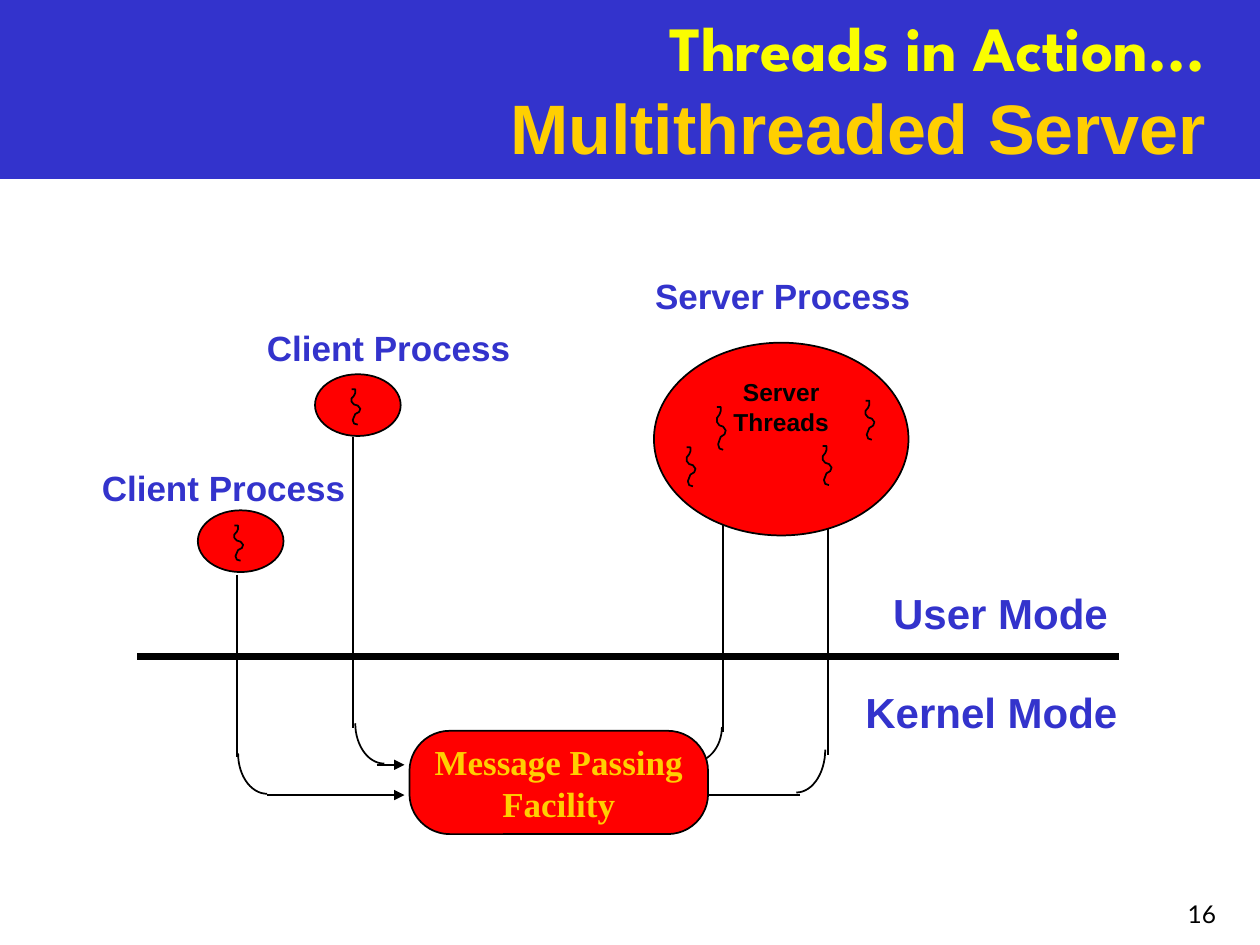
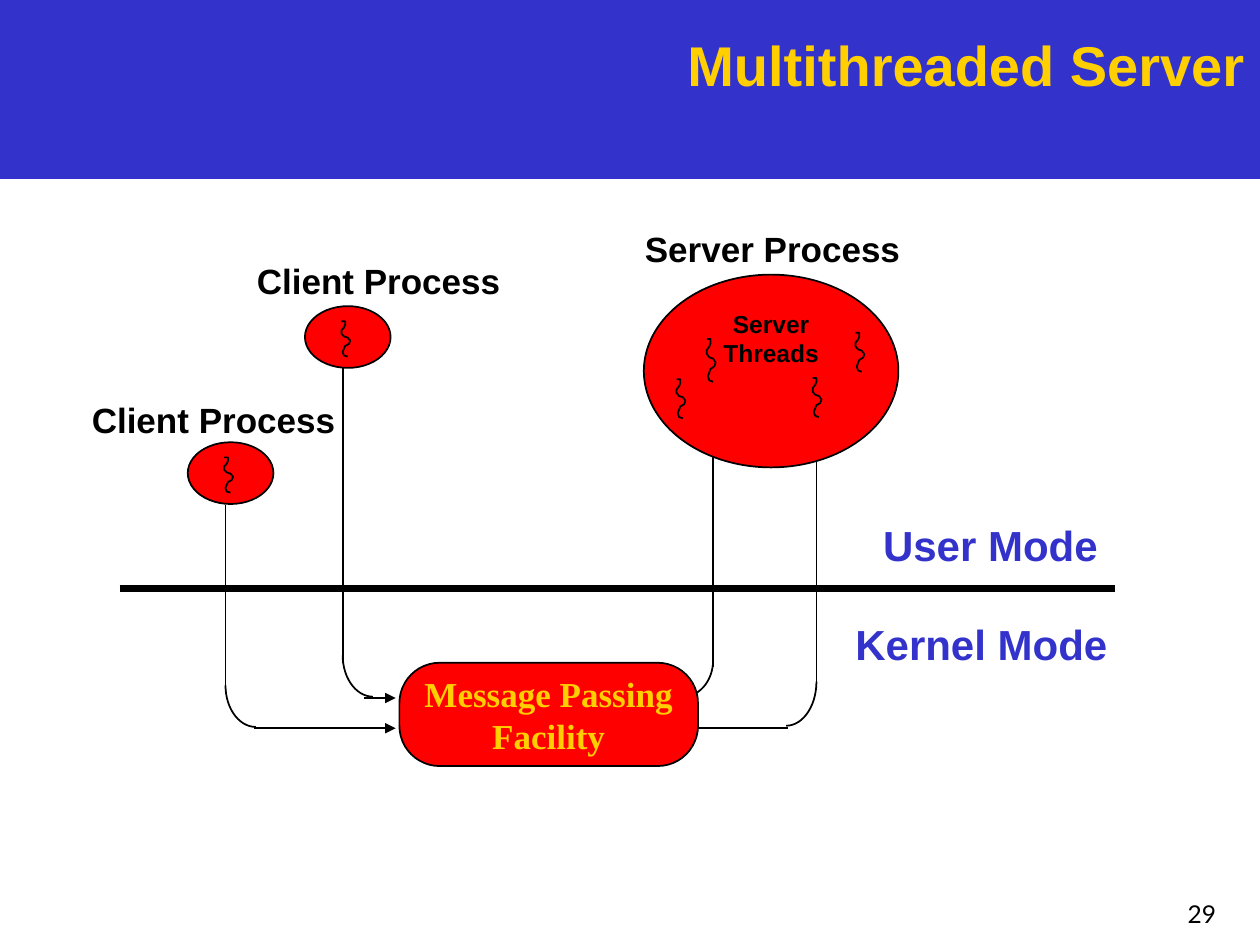
import math
from lxml import etree
from pptx import Presentation
from pptx.dml.color import RGBColor
from pptx.enum import shapes as kinds, text as styles
from pptx.oxml.ns import qn
from pptx.util import Inches, Pt

BLUE, RED, GOLD, YELLOW, BLACK = "3333CC", "FF0000", "FFCF01", "FAFD00", "000000"
LEFT, CENTER, RIGHT = styles.PP_ALIGN.LEFT, styles.PP_ALIGN.CENTER, styles.PP_ALIGN.RIGHT
TOP, MIDDLE, BOTTOM = styles.MSO_ANCHOR.TOP, styles.MSO_ANCHOR.MIDDLE, styles.MSO_ANCHOR.BOTTOM

SERVER = (5.19, 2.72, 2.02, 1.53)
SERVER_THREADS = [(5.45, 3.55, 0.31), (5.69, 3.23, 0.34), (6.53, 3.54, 0.31), (6.87, 3.18, 0.31)]
CLIENTS = [(2.5, 2.97), (1.57, 4.05)]
CLIENT_SIZE = (0.68, 0.49)
CLIENT_THREAD = (0.29, 0.12, 0.28)
FACILITY = (3.25, 5.8, 2.37, 0.82)
MODES = [("User Mode", (6.99, 4.61, 1.98, 0.5)), ("Kernel Mode", (6.77, 5.4, 2.3, 0.5))]
THREAD_WIDTH = 0.07
THREAD_WAVE = [(0, 0), (0.43, 0), (0.43, 0.1), (0.29, 0.18), (0, 0.26), (0, 0.35), (0.29, 0.43),
               (0.71, 0.46), (1, 0.55), (0.86, 0.64), (0.43, 0.7), (0.29, 0.78), (0.14, 0.87),
               (0.29, 0.97), (0.71, 1)]

# Routes: vertical leg (x, top, bottom), bend (left, top, width, height), foot (start, end, y)
SLIDES = [
    {"title": [("Threads in Action...", 36, "League Spartan", YELLOW),
               ("Multithreaded Server", 40, "Arial", GOLD)],
     "title_at": (1.13, 0.02, 8.54, 1.36),
     "number": "16",
     "shift": (0, 0),
     "border": (1.09, 8.88, 5.21),
     "label_color": BLUE,
     "labels": [("Server Process", (5.1, 2.13, 2.58, 0.43)),
                ("Client Process", (2.02, 2.54, 2.33, 0.43)),
                ("Client Process", (0.71, 3.65, 2.93, 0.43))],
     "server_routes": [((6.57, 3.94, 5.99), (6.32, 5.95, 0.23, 0.34), (6.35, 5.23, 6.31)),
                       ((5.74, 3.7, 5.81), (5.5, 5.77, 0.23, 0.28), None)],
     "client_routes": [((2.8, 3.47, 5.78), (2.82, 5.74, 0.23, 0.32), (2.99, 3.21, 6.07)),
                       ((1.88, 4.56, 6.01), (1.89, 5.98, 0.23, 0.32), (2.12, 3.21, 6.31))]},
    {"title": [("Multithreaded Server", 32, "Arial", GOLD)],
     "title_at": (1.11, 0.19, 8.87, 0.63),
     "number": "29",
     "shift": (-0.08, -0.54),
     "border": (0.95, 8.85, 4.67),
     "label_color": BLACK,
     "labels": [("Server Process", (5.02, 1.76, 2.6, 0.43)),
                ("Client Process", (1.94, 2.01, 2.34, 0.43)),
                ("Client Process", (0.63, 3.11, 2.95, 0.43))],
     "server_routes": [((6.48, 3.39, 5.47), (6.24, 5.41, 0.24, 0.35), (6.25, 5.16, 5.78)),
                       ((5.66, 3.15, 5.29), (5.42, 5.24, 0.24, 0.29), None)],
     "client_routes": [((2.72, 2.92, 5.26), (2.72, 5.2, 0.24, 0.33), (2.89, 3.14, 5.54)),
                       ((1.79, 4.01, 5.49), (1.79, 5.44, 0.24, 0.33), (2.02, 3.14, 5.78))]},
]


def rgb(color):
    return RGBColor.from_string(color)


def set_font(font, size, face, color, bold=True):
    font.size, font.name, font.bold = Pt(size), face, bold
    font.color.rgb = rgb(color)


def finish(shape, fill, outlined=True):
    shape.shadow.inherit = False
    if fill:
        shape.fill.solid()
        shape.fill.fore_color.rgb = rgb(fill)
    else:
        shape.fill.background()
    if outlined:
        shape.line.color.rgb = rgb(BLACK)
        shape.line.width = Pt(1)
    else:
        shape.line.fill.background()


def add_preset(slide, kind, at, fill, outlined=True):
    shape = slide.shapes.add_shape(kind, *map(Inches, at))
    finish(shape, fill, outlined)
    return shape


def add_outline(slide, points, fill=None):
    emu = [(Inches(x), Inches(y)) for x, y in points]
    builder = slide.shapes.build_freeform(*emu[0])
    builder.add_line_segments(emu[1:], close=False)
    finish(builder.convert_to_shape(), fill)


def add_line(slide, x1, y1, x2, y2, width=1, arrow=None):
    line = slide.shapes.add_connector(kinds.MSO_CONNECTOR.STRAIGHT, *map(Inches, (x1, y1, x2, y2)))
    line.line.color.rgb = rgb(BLACK)
    line.line.width = Pt(width)
    if arrow:
        etree.SubElement(line.line._get_or_add_ln(), qn(f"a:{arrow}"), type="triangle")
    etree.SubElement(line._element.spPr, qn("a:effectLst"))


def write(shape, lines, size, face, color, align=LEFT, anchor=TOP, wrap=True, bold=True):
    frame = shape.text_frame
    frame.word_wrap = wrap
    frame.vertical_anchor = anchor
    frame.text = "\n".join(lines)
    for paragraph in frame.paragraphs:
        paragraph.alignment = align
        set_font(paragraph.font, size, face, color, bold)


def add_label(slide, words, at, *style, **options):
    write(slide.shapes.add_textbox(*map(Inches, at)), [words], *style, **options)


def add_title(slide, parts, at):
    frame = slide.shapes.add_textbox(*map(Inches, at)).text_frame
    frame.word_wrap = True
    paragraph = frame.paragraphs[0]
    paragraph.alignment = RIGHT
    for i, (words, *style) in enumerate(parts):
        if i:
            paragraph.add_line_break()
        run = paragraph.add_run()
        run.text = words
        set_font(run.font, *style)


def add_thread(slide, left, top, height):
    add_outline(slide, [(left + THREAD_WIDTH * x, top + height * y) for x, y in THREAD_WAVE], RED)


def add_route(slide, leg, bend, foot, from_server):
    x, top, bottom = leg
    add_line(slide, x, top, x, bottom, arrow="headEnd" if from_server else None)
    left, bend_top, width, height = bend
    angles = [math.radians(6 * step) for step in range(16)]
    curve = []
    for angle in angles:
        reach = math.cos(angle) if from_server else 1 - math.cos(angle)
        curve.append((left + width * reach, bend_top + height * math.sin(angle)))
    add_outline(slide, curve)
    if foot:
        start, end, y = foot
        add_line(slide, start, y, end, y, arrow=None if from_server else "tailEnd")


def add_diagram(slide, content):
    dx, dy = content["shift"]

    def moved(left, top, *size):
        return (left + dx, top + dy, *size)

    for route in content["server_routes"]:
        add_route(slide, *route, from_server=True)
    start, end, y = content["border"]
    add_line(slide, start, y, end, y, width=4)

    server = add_preset(slide, kinds.MSO_SHAPE.OVAL, moved(*SERVER), RED)
    write(server, ["Server", "Threads"], 14, "Arial", BLACK, align=CENTER, wrap=False)
    for thread in SERVER_THREADS:
        add_thread(slide, *moved(*thread))
    for left, top in CLIENTS:
        add_preset(slide, kinds.MSO_SHAPE.OVAL, moved(left, top, *CLIENT_SIZE), RED)
        in_x, in_y, height = CLIENT_THREAD
        add_thread(slide, *moved(left + in_x, top + in_y, height))

    facility = add_preset(slide, kinds.MSO_SHAPE.ROUNDED_RECTANGLE, moved(*FACILITY), RED)
    facility.adjustments[0] = 0.39
    write(facility, ["Message Passing", "Facility"], 20, "Times New Roman", GOLD,
          align=CENTER, anchor=MIDDLE, wrap=False)
    for route in content["client_routes"]:
        add_route(slide, *route, from_server=False)

    for words, at in content["labels"]:
        add_label(slide, words, at, 20, "Arial", content["label_color"])
    for words, at in MODES:
        add_label(slide, words, moved(*at), 24, "Arial", BLUE, anchor=MIDDLE, wrap=False)


def main():
    deck = Presentation()
    deck.slide_width, deck.slide_height = Inches(10), Inches(7.5)
    for content in SLIDES:
        slide = deck.slides.add_slide(deck.slide_layouts[6])
        add_preset(slide, kinds.MSO_SHAPE.RECTANGLE, (0, 0, 10, 1.42), BLUE, outlined=False)
        add_diagram(slide, content)
        add_title(slide, content["title"], content["title_at"])
        add_label(slide, content["number"], (7.67, 6.92, 2.08, 0.5), 14, "Lato", BLACK,
                  align=RIGHT, anchor=BOTTOM, bold=False)
    deck.save("out.pptx")


if __name__ == "__main__":
    main()
